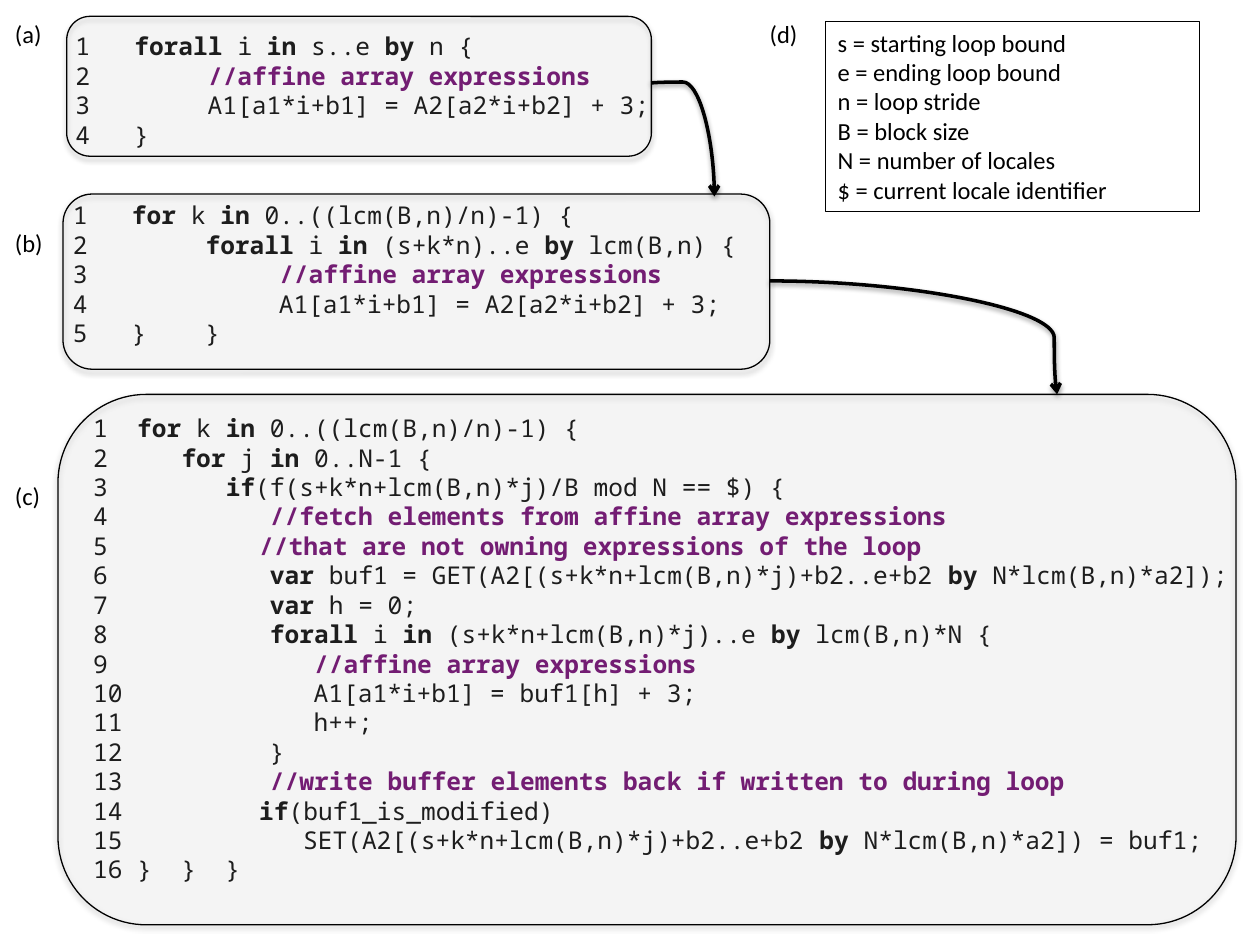
from dataclasses import dataclass

from lxml.etree import SubElement
from pptx import Presentation
from pptx.dml.color import RGBColor
from pptx.enum.shapes import MSO_CONNECTOR, MSO_SHAPE
from pptx.oxml.ns import qn
from pptx.util import Inches, Pt


@dataclass(frozen=True)
class Theme:
    """Colours, fonts and sizes of the slide."""
    ink: RGBColor = RGBColor(0x00, 0x00, 0x00)
    comment: RGBColor = RGBColor(0x66, 0x00, 0x66)
    panel: RGBColor = RGBColor(0xF2, 0xF2, 0xF2)
    panel_alpha: int = 12
    code_font: str = "Noto Sans Mono"
    label_font: str = "Calibri"
    size: Pt = Pt(14)
    code_leading: Pt = Pt(16.8)
    outline: Pt = Pt(0.75)
    arrow: Pt = Pt(2)


THEME = Theme()

SOURCE_LOOP = """\
1   `forall `i `in `s..e `by` n {
2        `//affine array expressions`
3        A1[a1*i+b1] = A2[a2*i+b2] + 3;
4   }"""

BLOCKED_LOOP = """\
1   `for` k `in` 0..((lcm(B,n)/n)-1) {
2        `forall `i `in` (s+k*n)..e `by` lcm(B,n) {
3             `//affine array expressions`
4             A1[a1*i+b1] = A2[a2*i+b2] + 3;
5   }    }"""

BUFFERED_LOOP = """\
1 ` for` k `in` 0..((lcm(B,n)/n)-1) {
2     `for` j `in` 0..N-1 {
3        `if`(f(s+k*n+lcm(B,n)*j)/B mod N == $) {
4           `//fetch elements from affine array expressions`
5   \t       `//that are not owning expressions of the loop`
6           `var` buf1 = GET(A2[(s+k*n+lcm(B,n)*j)+b2..e+b2 `by` N*lcm(B,n)*a2]);
7           `var` h = 0;
8           `forall `i `in `(s+k*n+lcm(B,n)*j)..e `by` lcm(B,n)*N {
9              `//affine array expressions`
10             A1[a1*i+b1] = buf1[h] + 3;
11             h++;
12          }
13          `//write buffer elements back if written to during loop`
14  \t       `if`(buf1_is_modified)
15  \t          SET(A2[(s+k*n+lcm(B,n)*j)+b2..e+b2 `by` N*lcm(B,n)*a2]) = buf1;
16 }  }  }"""

LEGEND = """\
s = starting loop bound
e = ending loop bound
n = loop stride
B = block size
N = number of locales
$ = current locale identifier"""


def add_shadow(shape, blur, alpha):
    """Give a shape a soft shadow falling straight down."""
    effects = SubElement(shape.element.spPr, qn("a:effectLst"))
    shadow = SubElement(effects, qn("a:outerShdw"), blurRad=str(Pt(blur)), dist=str(Pt(1.7)),
                        dir="5400000", rotWithShape="0")
    colour = SubElement(shadow, qn("a:srgbClr"), val=str(THEME.ink))
    SubElement(colour, qn("a:alpha"), val=str(alpha * 1000))


def add_lines(slide, box, text, font_name, leading=None):
    """Write one paragraph per line, with backquoted parts in bold."""
    holder = slide.shapes.add_textbox(*map(Inches, box))
    frame = holder.text_frame
    frame.word_wrap = True
    for index, line in enumerate(text.split("\n")):
        paragraph = frame.paragraphs[0] if index == 0 else frame.add_paragraph()
        paragraph.font.name = font_name
        paragraph.font.size = THEME.size
        paragraph.font.color.rgb = THEME.ink
        if leading:
            paragraph.line_spacing = leading
        for position, part in enumerate(line.split("`")):
            if not part:
                continue
            run = paragraph.add_run()
            run.text = part
            if position % 2:
                run.font.bold = True
            if part.startswith("//"):
                run.font.color.rgb = THEME.comment
    return holder


def add_code_panel(slide, box, inset, code):
    """Place a code listing under a translucent rounded panel."""
    left, top, width, height = box
    dx, dy = inset
    add_lines(slide, (left + dx, top + dy, width + 0.7, height - dy), code,
              THEME.code_font, THEME.code_leading)
    panel = slide.shapes.add_shape(MSO_SHAPE.ROUNDED_RECTANGLE, *map(Inches, box))
    panel.fill.solid()
    panel.fill.fore_color.rgb = THEME.panel
    tint = panel.element.spPr.find(qn("a:solidFill")).find(qn("a:srgbClr"))
    SubElement(tint, qn("a:alpha"), val=str(THEME.panel_alpha * 1000))
    panel.line.color.rgb = THEME.ink
    panel.line.width = THEME.outline
    add_shadow(panel, 3.1, 35)


def add_label(slide, left, top, text):
    """Place the letter that names a part."""
    add_lines(slide, (left, top, 0.64, 0.34), text, THEME.label_font)


def add_legend(slide, box):
    """Place the outlined list of symbols."""
    legend = add_lines(slide, box, LEGEND, THEME.label_font)
    legend.line.color.rgb = THEME.ink
    legend.line.width = THEME.outline


def add_curve(slide, start, end, bend, turned=False):
    """Draw a curved arrow, turned a quarter when it bends along the vertical."""
    (x1, y1), (x2, y2) = start, end
    if turned:
        middle_x, middle_y = (x1 + x2) / 2, (y1 + y2) / 2
        half_w, half_h = (y2 - y1) / 2, (x2 - x1) / 2
        x1, x2 = middle_x + half_w, middle_x - half_w
        y1, y2 = middle_y - half_h, middle_y + half_h
    curve = slide.shapes.add_connector(MSO_CONNECTOR.CURVE, *map(Inches, (x1, y1, x2, y2)))
    properties = curve.element.spPr
    if turned:
        properties.find(qn("a:xfrm")).set("rot", "16200000")
    geometry = properties.find(qn("a:prstGeom"))
    adjustments = geometry.find(qn("a:avLst"))
    if adjustments is None:
        adjustments = SubElement(geometry, qn("a:avLst"))
    SubElement(adjustments, qn("a:gd"), name="adj1", fmla=f"val {round(bend * 100000)}")
    curve.line.color.rgb = THEME.ink
    curve.line.width = THEME.arrow
    SubElement(properties.find(qn("a:ln")), qn("a:tailEnd"), type="arrow")
    add_shadow(curve, 3.1, 38)


def main():
    """Build and save the slide."""
    deck = Presentation()
    deck.slide_width, deck.slide_height = Inches(10), Inches(7.5)
    slide = deck.slides.add_slide(deck.slide_layouts[6])

    add_code_panel(slide, (0.53, 0.13, 4.64, 1.11), (-0.03, 0.07), SOURCE_LOOP)
    add_code_panel(slide, (0.5, 1.54, 5.61, 1.39), (-0.02, 0), BLOCKED_LOOP)
    add_code_panel(slide, (0.46, 3.13, 9.35, 4.21), (0.18, 0.1), BUFFERED_LOOP)
    for top, text in ((0.1, "(a)"), (1.76, "(b)"), (3.77, "(c)")):
        add_label(slide, 0.02, top, text)

    add_curve(slide, (5.17, 0.66), (5.67, 1.56), -0.01, turned=True)
    add_curve(slide, (6.11, 2.23), (8.39, 3.13), 0.99)
    add_legend(slide, (6.55, 0.17, 2.97, 1.51))
    add_label(slide, 6.01, 0.1, "(d)")
    deck.save("out.pptx")


if __name__ == "__main__":
    main()
